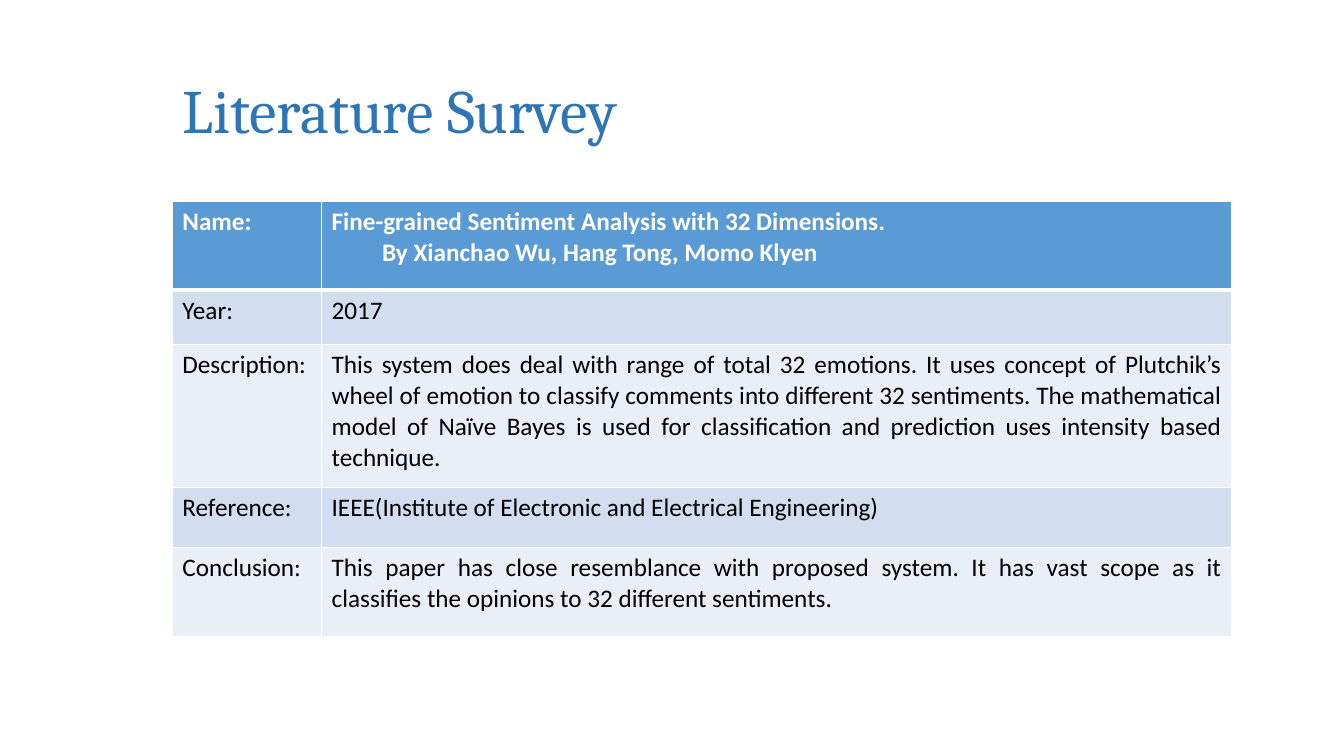
from dataclasses import dataclass

from lxml import etree
from pptx import Presentation
from pptx import util as u
from pptx.dml.color import RGBColor
from pptx.enum import text
from pptx.oxml.ns import qn

TITLE_BLUE = RGBColor(0x2E, 0x75, 0xB6)
HEADER_BLUE = RGBColor(0x5B, 0x9B, 0xD5)
BAND_DARK = RGBColor(0xD2, 0xDE, 0xEF)
BAND_LIGHT = RGBColor(0xEA, 0xEF, 0xF7)
WHITE = RGBColor(0xFF, 0xFF, 0xFF)
BLACK = RGBColor(0x00, 0x00, 0x00)

LEFT = u.Inches(1.71)
COLUMN_WIDTHS = (1.48, 9.03)


@dataclass
class SurveyRow:
    label: str
    detail: str
    height: float
    justified: bool = False


SURVEY_ROWS = [
    SurveyRow("Name:", "Fine-grained Sentiment Analysis with 32 Dimensions.\n"
              "By Xianchao Wu, Hang Tong, Momo Klyen", 0.88),
    SurveyRow("Year:", "2017", 0.54),
    SurveyRow("Description:",
              "This system does deal with range of total 32 emotions. It uses concept of "
              "Plutchik’s wheel of emotion to classify comments into different 32 sentiments. "
              "The mathematical model of Naïve Bayes is used for classification and prediction "
              "uses intensity based technique.", 1.42, justified=True),
    SurveyRow("Reference:", "IEEE(Institute of Electronic and Electrical Engineering)", 0.59),
    SurveyRow("Conclusion:",
              "This paper has close resemblance with proposed system. It has vast scope as it "
              "classifies the opinions to 32 different sentiments.", 0.89, justified=True),
]


def format_runs(text_frame, font_name: str, size: float, color: RGBColor,
                bold: bool = False) -> None:
    for paragraph in text_frame.paragraphs:
        for run in paragraph.runs:
            run.font.name = font_name
            run.font.size = u.Pt(size)
            run.font.bold = bold
            run.font.color.rgb = color


def set_borders(cell, top: float, bottom: float) -> None:
    """Draw white borders, with the top and bottom widths in points."""
    properties = cell._tc.get_or_add_tcPr()
    widths = {"a:lnL": 1, "a:lnR": 1, "a:lnT": top, "a:lnB": bottom}
    for position, (tag, width) in enumerate(widths.items()):
        line = etree.Element(qn(tag), w=str(u.Pt(width)))
        fill = etree.SubElement(line, qn("a:solidFill"))
        etree.SubElement(fill, qn("a:srgbClr"), val=str(WHITE))
        properties.insert(position, line)


def add_title(slide, title: str) -> None:
    shape = slide.shapes.add_textbox(LEFT, u.Inches(0.4), u.Inches(10.71), u.Inches(1.45))
    text_frame = shape.text_frame
    text_frame.word_wrap = True
    text_frame.vertical_anchor = text.MSO_ANCHOR.MIDDLE
    text_frame.text = title
    text_frame.paragraphs[0].line_spacing = 0.9
    format_runs(text_frame, "Cambria", 44, TITLE_BLUE)


def add_survey_table(slide, rows: list[SurveyRow]) -> None:
    shape = slide.shapes.add_table(
        len(rows), len(COLUMN_WIDTHS), LEFT, u.Inches(2),
        u.Inches(sum(COLUMN_WIDTHS)), u.Inches(sum(row.height for row in rows)))
    table = shape.table
    for column, width in zip(table.columns, COLUMN_WIDTHS):
        column.width = u.Inches(width)

    for index, row in enumerate(rows):
        table.rows[index].height = u.Inches(row.height)
        is_header = index == 0
        band = BAND_DARK if index % 2 else BAND_LIGHT
        for cell, content in zip(table.rows[index].cells, (row.label, row.detail)):
            cell.text_frame.text = content
            format_runs(cell.text_frame, "Calibri", 18,
                        WHITE if is_header else BLACK, bold=is_header)
            cell.fill.solid()
            cell.fill.fore_color.rgb = HEADER_BLUE if is_header else band
            set_borders(cell, top=3 if index == 1 else 1, bottom=3 if is_header else 1)
        if row.justified:
            cell.text_frame.paragraphs[0].alignment = text.PP_ALIGN.JUSTIFY

    # Indented author line under the paper's name
    authors = table.cell(0, 1).text_frame.paragraphs[1]
    authors.level = 1
    authors_properties = authors._p.get_or_add_pPr()
    authors_properties.set("marL", str(u.Inches(0.5)))
    authors_properties.set("indent", "0")


def main() -> None:
    presentation = Presentation()
    presentation.slide_width = u.Inches(13.33)
    presentation.slide_height = u.Inches(7.5)
    slide = presentation.slides.add_slide(presentation.slide_layouts[6])
    add_title(slide, "Literature Survey")
    add_survey_table(slide, SURVEY_ROWS)
    presentation.save("out.pptx")


if __name__ == "__main__":
    main()
